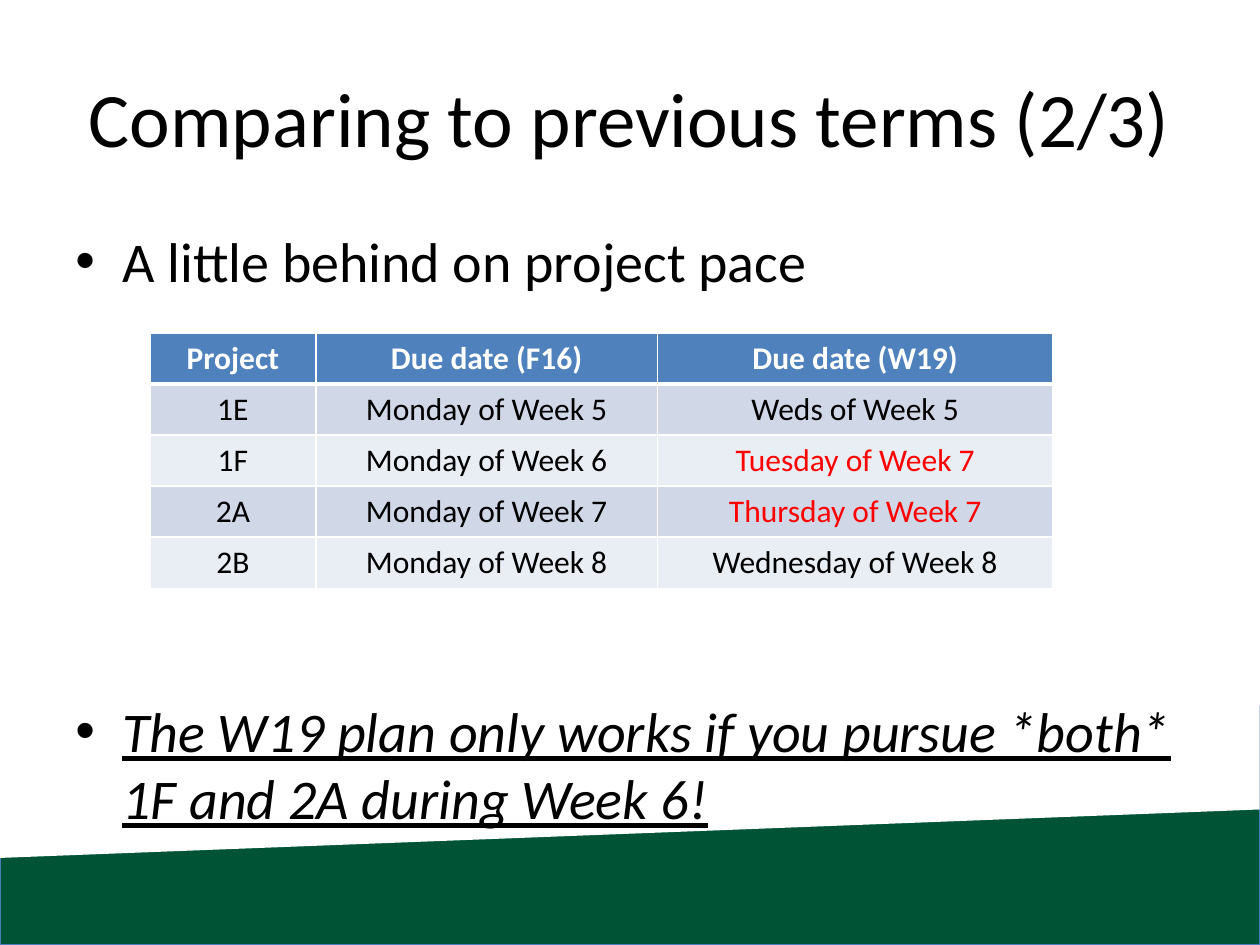
from dataclasses import dataclass

from pptx import Presentation
from pptx.dml.color import RGBColor
from pptx.enum.shapes import MSO_SHAPE
from pptx.enum.text import MSO_ANCHOR, PP_ALIGN
from pptx.oxml.ns import qn
from pptx.shapes.autoshape import Shape
from pptx.slide import Slide
from pptx.table import _Cell
from pptx.text.text import _Paragraph
from pptx.util import Cm, Pt
from lxml import etree

RECTANGLE = MSO_SHAPE.RECTANGLE
PARALLELOGRAM = MSO_SHAPE.PARALLELOGRAM
CENTER = PP_ALIGN.CENTER
MIDDLE = MSO_ANCHOR.MIDDLE


@dataclass(frozen=True)
class Theme:
    font: str = "Calibri"
    title_size: int = 44
    body_size: int = 32
    table_size: int = 18
    text: str = "000000"
    white: str = "FFFFFF"
    green: str = "005334"
    outline: str = "4B7EBC"
    header: str = "4F81BD"
    bands: tuple[str, str] = ("D0D8E8", "E9EDF4")
    late: str = "FF0000"


@dataclass(frozen=True)
class Box:
    left: float
    top: float
    width: float
    height: float

    def lengths(self) -> tuple[Cm, Cm, Cm, Cm]:
        return Cm(self.left), Cm(self.top), Cm(self.width), Cm(self.height)


@dataclass(frozen=True)
class Bullet:
    text: str
    space_before: int = 0
    emphasized: bool = False


@dataclass(frozen=True)
class ProjectRow:
    project: str
    fall_date: str
    winter_date: str
    late: bool = False


THEME = Theme()
TITLE_BOX = Box(1.27, 0.76, 22.86, 3.18)
BODY_BOX = Box(1.27, 4.45, 22.86, 12.57)
FOOTER_BOX = Box(0, 14.25, 25.4, 4.8)
SLOPE_BOX = Box(9.75, 1.65, 5.89, 25.4)
COLUMN_WIDTHS = (3.35, 6.88, 7.98)
ROW_HEIGHT = 1.03
BULLET_INDENT = Cm(0.95)

BULLETS = (
    Bullet("A little behind on project pace"),
    Bullet("The W19 plan only works if you pursue *both* 1F and 2A during Week 6!", 230, True),
)
HEADER = ProjectRow("Project", "Due date (F16)", "Due date (W19)")
PROJECTS = (
    ProjectRow("1E", "Monday of Week 5", "Weds of Week 5"),
    ProjectRow("1F", "Monday of Week 6", "Tuesday of Week 7", True),
    ProjectRow("2A", "Monday of Week 7", "Thursday of Week 7", True),
    ProjectRow("2B", "Monday of Week 8", "Wednesday of Week 8"),
)


def color(value: str) -> RGBColor:
    return RGBColor.from_string(value)


def style(paragraph: _Paragraph, size: int, text_color: str = THEME.text) -> None:
    paragraph.font.name = THEME.font
    paragraph.font.size = Pt(size)
    paragraph.font.color.rgb = color(text_color)


def add_filled_shape(slide: Slide, kind: MSO_SHAPE, box: Box, fill: str) -> Shape:
    shape = slide.shapes.add_shape(kind, *box.lengths())
    shape.shadow.inherit = False
    shape.fill.solid()
    shape.fill.fore_color.rgb = color(fill)
    shape.line.fill.background()
    return shape


def add_footer(slide: Slide) -> None:
    band = add_filled_shape(slide, RECTANGLE, FOOTER_BOX, THEME.green)
    band.line.color.rgb = color(THEME.outline)
    band.line.width = Pt(0.75)
    slope = add_filled_shape(slide, PARALLELOGRAM, SLOPE_BOX, THEME.white)
    slope.adjustments[0] = 0.166
    slope.rotation = 90
    slope.element.spPr.find(qn("a:xfrm")).set("flipH", "1")


def add_title(slide: Slide, text: str) -> None:
    frame = slide.shapes.add_textbox(*TITLE_BOX.lengths()).text_frame
    frame.word_wrap = True
    frame.vertical_anchor = MIDDLE
    paragraph = frame.paragraphs[0]
    paragraph.text = text
    paragraph.alignment = CENTER
    style(paragraph, THEME.title_size)


def add_bullets(slide: Slide, bullets: tuple[Bullet, ...]) -> None:
    frame = slide.shapes.add_textbox(*BODY_BOX.lengths()).text_frame
    frame.word_wrap = True
    for index, bullet in enumerate(bullets):
        paragraph = frame.add_paragraph() if index else frame.paragraphs[0]
        paragraph.text = bullet.text
        paragraph.space_before = Pt(bullet.space_before)
        properties = paragraph._p.get_or_add_pPr()
        properties.set("marL", str(BULLET_INDENT))
        properties.set("indent", str(-BULLET_INDENT))
        etree.SubElement(properties, qn("a:buFont"), typeface="Arial")
        etree.SubElement(properties, qn("a:buChar"), char="•")
        style(paragraph, THEME.body_size)
        if bullet.emphasized:
            paragraph.font.italic = True
            paragraph.font.underline = True


def add_borders(cell: _Cell, widths: dict[str, int]) -> None:
    properties = cell._tc.get_or_add_tcPr()
    for side, width in widths.items():
        line = etree.SubElement(properties, qn(f"a:ln{side}"), w=str(Pt(width)))
        fill = etree.SubElement(line, qn("a:solidFill"))
        etree.SubElement(fill, qn("a:srgbClr"), val=THEME.white)


def fill_cell(cell: _Cell, text: str, fill: str, text_color: str,
              bold: bool, top: int, bottom: int) -> None:
    add_borders(cell, {"L": 1, "R": 1, "T": top, "B": bottom})
    cell.fill.solid()
    cell.fill.fore_color.rgb = color(fill)
    paragraph = cell.text_frame.paragraphs[0]
    paragraph.text = text
    paragraph.alignment = CENTER
    style(paragraph, THEME.table_size, text_color)
    paragraph.font.bold = bold


def add_project_table(slide: Slide) -> None:
    rows = (HEADER, *PROJECTS)
    box = Box(3.02, 6.71, sum(COLUMN_WIDTHS), ROW_HEIGHT * len(rows))
    table = slide.shapes.add_table(len(rows), len(COLUMN_WIDTHS), *box.lengths()).table
    for column, width in zip(table.columns, COLUMN_WIDTHS):
        column.width = Cm(width)
    for index, row in enumerate(rows):
        table.rows[index].height = Cm(ROW_HEIGHT)
        is_header = index == 0
        fill = THEME.header if is_header else THEME.bands[(index - 1) % 2]
        base = THEME.white if is_header else THEME.text
        winter = THEME.late if row.late else base
        entries = ((row.project, base), (row.fall_date, base), (row.winter_date, winter))
        for column_index, (text, text_color) in enumerate(entries):
            fill_cell(table.cell(index, column_index), text, fill, text_color, is_header,
                      3 if index == 1 else 1, 3 if is_header else 1)


def main() -> None:
    presentation = Presentation()
    presentation.slide_width = Cm(25.4)
    presentation.slide_height = Cm(19.05)
    slide = presentation.slides.add_slide(presentation.slide_layouts[6])
    add_footer(slide)
    add_title(slide, "Comparing to previous terms (2/3)")
    add_bullets(slide, BULLETS)
    add_project_table(slide)
    presentation.save("out.pptx")


if __name__ == "__main__":
    main()
